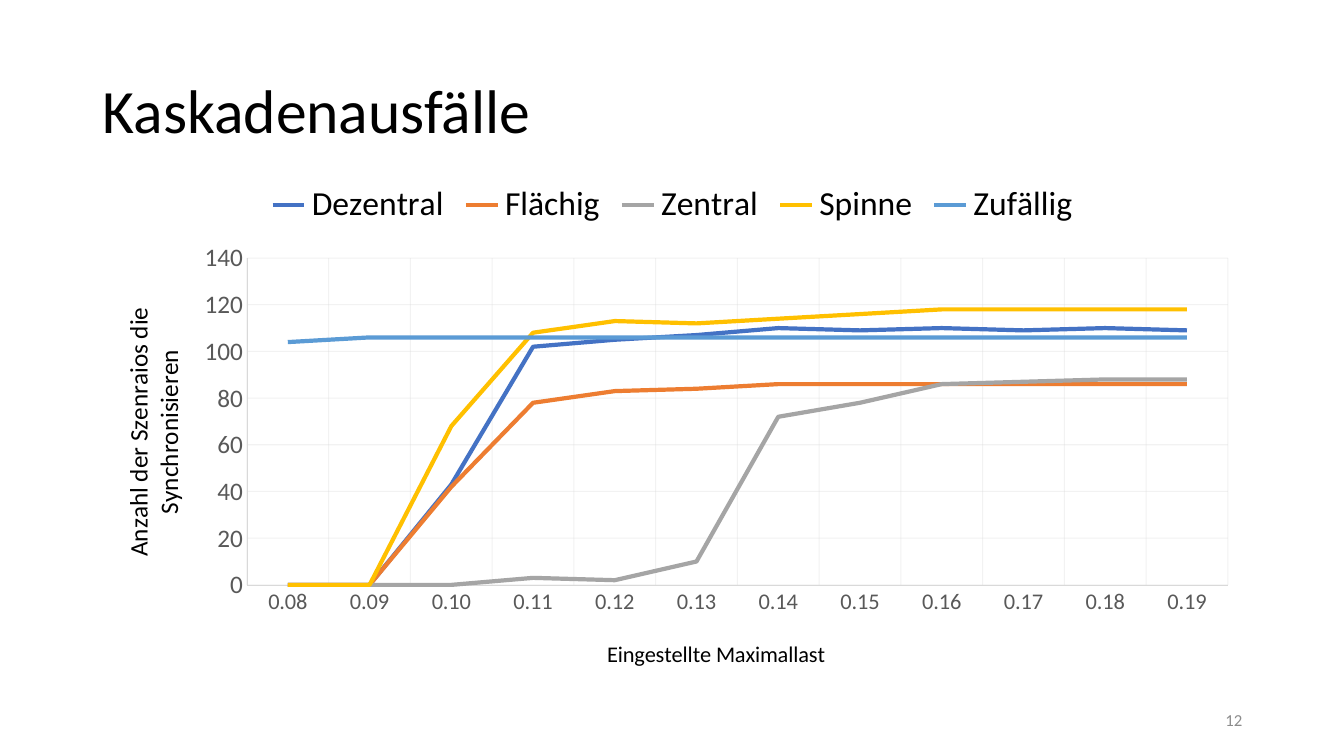
import pptx
import pptx.util
import pptx.chart.data
import pptx.dml.color
import pptx.enum.chart
import pptx.enum.text
import pptx.oxml
import pptx.oxml.ns

RGB = pptx.dml.color.RGBColor
BLACK = RGB(0x00, 0x00, 0x00)
AXIS_TEXT = RGB(0x59, 0x59, 0x59)
PALE_GREY = RGB(0xD9, 0xD9, 0xD9)
NUMBER_GREY = RGB(0x8C, 0x8C, 0x8C)
BLUE = RGB(0x44, 0x72, 0xC4)
ORANGE = RGB(0xED, 0x7D, 0x31)
GREY = RGB(0xA5, 0xA5, 0xA5)
YELLOW = RGB(0xFF, 0xC0, 0x00)
LIGHT_BLUE = RGB(0x5B, 0x9B, 0xD5)

LOADS = [f"{n / 100:.2f}" for n in range(8, 20)]
SERIES = [
    ("Dezentral", BLUE, [0, 0, 43, 102, 105, 107, 110, 109, 110, 109, 110, 109]),
    ("Flächig", ORANGE, [0, 0, 42, 78, 83, 84] + [86] * 6),
    ("Zentral", GREY, [0, 0, 0, 3, 2, 10, 72, 78, 86, 87, 88, 88]),
    ("Spinne", YELLOW, [0, 0, 68, 108, 113, 112, 114, 116] + [118] * 4),
    ("Zufällig", LIGHT_BLUE, [104] + [106] * 11),
]


class Deck:
    """Holds the style and the current slide; lengths are in inches."""
    font = "Calibri"
    width, height = 13.33, 7.5
    left, content = 0.92, 11.5

    def __init__(self):
        self.prs = pptx.Presentation()
        self.prs.slide_width = pptx.util.Inches(self.width)
        self.prs.slide_height = pptx.util.Inches(self.height)
        self.s = self.prs.slides.add_slide(self.prs.slide_layouts[6])

    def box(self, x, y, w, h):
        return [pptx.util.Inches(v) for v in (x, y, w, h)]

    def style(self, font, size, color):
        font.name, font.size, font.bold = self.font, pptx.util.Pt(size), False
        font.color.rgb = color

    def text(self, box, text, size, color, align=pptx.enum.text.PP_ALIGN.LEFT):
        tf = self.s.shapes.add_textbox(*self.box(*box)).text_frame
        tf.word_wrap = True
        tf.vertical_anchor = pptx.enum.text.MSO_ANCHOR.MIDDLE
        p = tf.paragraphs[0]
        p.text, p.alignment, p.line_spacing = text, align, 0.9
        self.style(p.font, size, color)

    def place(self, parent, **shares):
        """Fix a chart part at shares of the chart's size."""
        for old in parent.findall(pptx.oxml.ns.qn("c:layout")):
            parent.remove(old)
        inner = '<c:layoutTarget val="inner"/>' if "w" in shares else ""
        modes = '<c:xMode val="edge"/><c:yMode val="edge"/>'
        values = "".join(f'<c:{k} val="{v}"/>' for k, v in shares.items())
        layout = pptx.oxml.parse_xml(
            f'<c:layout {pptx.oxml.ns.nsdecls("c")}><c:manualLayout>'
            f'{inner}{modes}{values}</c:manualLayout></c:layout>')
        tx = parent.find(pptx.oxml.ns.qn("c:tx"))
        parent.insert(0 if tx is None else 1, layout)

    def axis(self, axis, title, size, x, y):
        self.style(axis.tick_labels.font, size, AXIS_TEXT)
        axis.major_tick_mark = pptx.enum.chart.XL_TICK_MARK.NONE
        axis.format.line.color.rgb = PALE_GREY
        axis.format.line.width = pptx.util.Pt(0.25)
        # Faint gridlines
        axis.has_major_gridlines = True
        line = axis.major_gridlines.format.line
        line.color.rgb, line.width = PALE_GREY, pptx.util.Pt(0.75)
        for clr in axis.major_gridlines._xAx.xpath("c:majorGridlines//a:srgbClr"):
            clr.append(pptx.oxml.parse_xml(
                f'<a:alpha {pptx.oxml.ns.nsdecls("a")} val="32000"/>'))
        # Axis title
        tf = axis.axis_title.text_frame
        p = tf.paragraphs[0]
        r = p.add_run()
        r.text = title
        self.style(p.font, size, BLACK)
        self.style(r.font, size, BLACK)
        self.place(axis.axis_title._element, x=x, y=y)
        return tf

    def line_chart(self, box, cats, series):
        data = pptx.chart.data.CategoryChartData()
        data.categories = cats
        for name, _, values in series:
            data.add_series(name, values)
        chart = self.s.shapes.add_chart(
            pptx.enum.chart.XL_CHART_TYPE.LINE, *self.box(*box), data).chart
        chart.has_title = False
        self.style(chart.font, 10, BLACK)
        for ser, (_, color, _) in zip(chart.plots[0].series, series):
            ser.smooth = False
            ser.marker.style = pptx.enum.chart.XL_MARKER_STYLE.NONE
            ser.format.line.color.rgb = color
            ser.format.line.width = pptx.util.Pt(3)
        chart.plots[0].vary_by_categories = False
        # Legend
        chart.has_legend = True
        chart.legend.position = pptx.enum.chart.XL_LEGEND_POSITION.TOP
        chart.legend.include_in_layout = False
        self.style(chart.legend.font, 24, BLACK)
        # Axes and plot area
        self.axis(chart.category_axis, "Eingestellte Maximallast", 16, 0.44, 0.91)
        tf = self.axis(chart.value_axis,
                       "Anzahl der Szenraios die Synchronisieren", 18, 0.02, 0.26)
        tf._txBody.bodyPr.set("rot", "-5400000")
        tf._txBody.bodyPr.set("vert", "horz")
        chart.value_axis.minimum_scale = 0
        chart.value_axis.maximum_scale = 140
        chart.value_axis.major_unit = 20
        self.place(chart._chartSpace.chart.plotArea, x=0.133, y=0.172, w=0.846, h=0.641)


def main():
    deck = Deck()
    # Title
    deck.text((deck.left, 0.4, deck.content, 1.45), "Kaskadenausfälle", 44, BLACK)
    # Chart
    deck.line_chart((deck.left, 1.69, deck.content, 5.06), LOADS, SERIES)
    # Slide number
    deck.text((9.42, 6.95, 3, 0.4), "12", 12, NUMBER_GREY,
              pptx.enum.text.PP_ALIGN.RIGHT)
    deck.prs.save("out.pptx")


if __name__ == "__main__":
    main()
